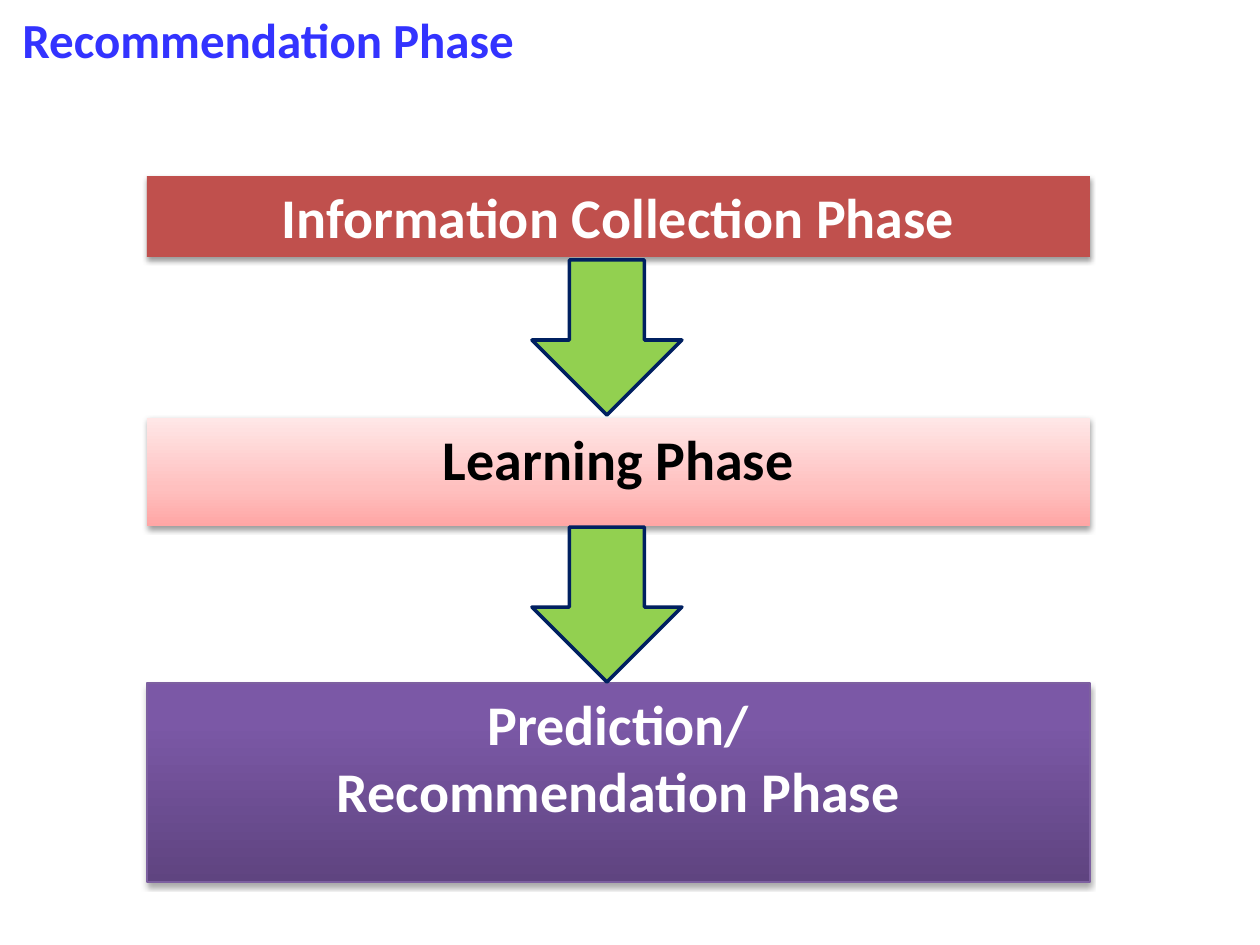
from lxml import etree
from pptx import Presentation
from pptx.dml.color import RGBColor as Rgb
from pptx.enum.shapes import MSO_SHAPE as Shape
from pptx.enum.text import MSO_ANCHOR as Anchor, PP_ALIGN as Align
from pptx.oxml.ns import qn
from pptx.util import Pt

PX = 914400 / 126  # EMU per px
THEME = {
    "font": "Calibri", "title": 28, "phase": 32,
    "blue": "3333FF", "white": "FFFFFF", "black": "000000",
    "red": ["C0504D"],
    "pink": ["FFA6A5", "FFC0BF", "FFE7E7"],
    "purple": ["5F4480", "7B58A6", "7C57A8"],
    "edge": "7D60A0", "green": "92D050", "navy": "002060",
}


def put(shape, text, size, color, align=Align.LEFT):
    frame = shape.text_frame
    frame.word_wrap = True
    frame.vertical_anchor = Anchor.TOP
    frame.text = text
    for para in frame.paragraphs:
        para.alignment = align
        font = para.font
        font.name, font.size, font.bold = THEME["font"], Pt(size), True
        font.color.rgb = Rgb.from_string(color)


def add(tree, kind, *box):
    shape = tree.add_shape(kind, *[round(n * PX) for n in box])
    shape.shadow.inherit = False
    return shape


deck = Presentation()
deck.slide_width, deck.slide_height = round(1260 * PX), round(945 * PX)
slide = deck.slides.add_slide(deck.slide_layouts[6])

# Title
title = slide.shapes.add_textbox(*[round(n * PX) for n in (10, 3, 630, 72)])
put(title, "Recommendation Phase", THEME["title"], THEME["blue"])

# Phase boxes: text, top, height, fill, middle stop, text color, edge, shadow
phases = [
    ("Information Collection Phase", 176, 81, "red", 0, "white", None, 38, 1.6),
    ("Learning Phase", 418, 108, "pink", 35, "black", None, 38, 1.6),
    ("Prediction/\nRecommendation Phase", 683, 199, "purple", 80, "white",
     "edge", 35, 1.8),
]
group = slide.shapes.add_group_shape()
for text, top, high, fill, mid, ink, edge, alpha, dist in phases:
    box = add(group.shapes, Shape.RECTANGLE, 147, top, 943, high)
    tones = THEME[fill]
    if len(tones) == 1:
        box.fill.solid()
        box.fill.fore_color.rgb = Rgb.from_string(tones[0])
    else:
        box.fill.gradient()
        box.fill.gradient_angle = 90
        stops = box._element.spPr.find(".//" + qn("a:gsLst"))
        for stop in list(stops):
            stops.remove(stop)
        for pos, tone in zip((0, mid, 100), tones):
            stop = etree.SubElement(stops, qn("a:gs"), pos=str(pos * 1000))
            etree.SubElement(stop, qn("a:srgbClr"), val=tone)
    if edge:
        box.line.color.rgb = Rgb.from_string(THEME[edge])
        box.line.width = Pt(0.75)
    else:
        box.line.fill.background()

    # Soft shadow straight below
    glow = etree.SubElement(
        box._element.spPr.find(qn("a:effectLst")), qn("a:outerShdw"),
        blurRad=str(Pt(3.1)), dist=str(Pt(dist)), dir="5400000",
        rotWithShape="0")
    shade = etree.SubElement(glow, qn("a:srgbClr"), val=THEME["black"])
    etree.SubElement(shade, qn("a:alpha"), val=str(alpha * 1000))
    put(box, text, THEME["phase"], THEME[ink], Align.CENTER)

# Arrows between the phases
for top in (260, 527):
    arrow = add(group.shapes, Shape.DOWN_ARROW, 532, top, 150, 155)
    arrow.fill.solid()
    arrow.fill.fore_color.rgb = Rgb.from_string(THEME["green"])
    arrow.line.color.rgb = Rgb.from_string(THEME["navy"])
    arrow.line.width = Pt(2)

deck.save("out.pptx")
